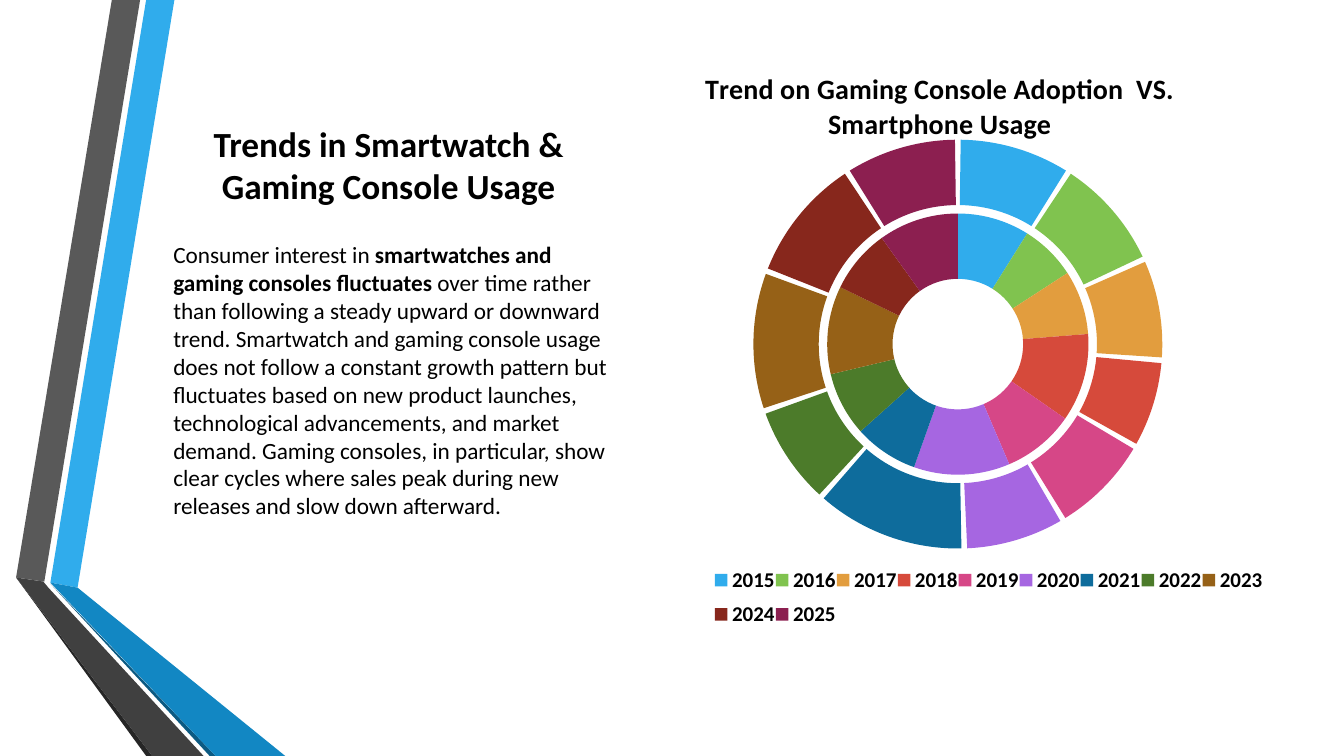
from dataclasses import dataclass

import lxml.etree
import pptx
import pptx.chart.data
import pptx.dml.color
import pptx.enum.chart
import pptx.enum.text
import pptx.oxml.ns
import pptx.util

Inches = pptx.util.Inches


@dataclass(frozen=True)
class Theme:
    font: str = "Calibri"
    ink: str = "000000"
    title: float = 25.2
    body: float = 16.6
    chart: float = 10
    chart_title: float = 20
    legend: float = 15
    bright_blue: str = "30ACEC"
    mid_blue: str = "1287C3"
    dark_blue: str = "0C5A82"
    light_gray: str = "595959"
    mid_gray: str = "404040"
    dark_gray: str = "262626"
    years: tuple[str, ...] = (
        "30ACEC", "80C34F", "E29D3E", "D64A3B", "D64787", "A666E1",
        "0E6C9C", "4C7B2A", "966117", "87271C", "8C1F50",
    )


@dataclass(frozen=True)
class Ribbon:
    color: str
    points: tuple[tuple[float, float], ...]


@dataclass(frozen=True)
class Span:
    text: str
    bold: bool = False


@dataclass(frozen=True)
class TextBlock:
    box: tuple[float, float, float, float]
    size: float
    anchor: pptx.enum.text.MSO_ANCHOR
    align: pptx.enum.text.PP_ALIGN
    space_after: float
    right_inset: float
    spans: tuple[Span, ...]


@dataclass(frozen=True)
class Ring:
    name: str
    values: tuple[int, ...]
    explosion: int = 0


THEME = Theme()

RIBBONS = (
    Ribbon(THEME.bright_blue, ((0.5, 5.78), (0.77, 5.83), (1.73, 0), (1.45, 0))),
    Ribbon(THEME.light_gray, ((1.39, 0), (1.11, 0), (0.16, 5.73), (0.44, 5.77))),
    Ribbon(THEME.dark_gray, ((0.16, 5.73), (1.45, 7.5), (1.51, 7.5))),
    Ribbon(THEME.dark_blue, ((0.5, 5.79), (2.08, 7.5), (2.14, 7.5))),
    Ribbon(THEME.mid_blue, ((0.5, 5.78), (2.14, 7.5), (2.83, 7.5), (0.77, 5.83))),
    Ribbon(THEME.mid_gray, ((2.02, 7.5), (0.48, 5.83), (0.43, 5.77), (0.16, 5.73), (1.51, 7.5))),
)

TEXTS = (
    TextBlock(
        (1.62, 1.13, 4.47, 0.97), THEME.title,
        pptx.enum.text.MSO_ANCHOR.BOTTOM, pptx.enum.text.PP_ALIGN.CENTER, 0, 0.1,
        (Span("Trends in Smartwatch & Gaming Console Usage", True),),
    ),
    TextBlock(
        (1.62, 2.29, 4.72, 2.96), THEME.body,
        pptx.enum.text.MSO_ANCHOR.MIDDLE, pptx.enum.text.PP_ALIGN.LEFT, 6, 0.22,
        (
            Span("Consumer interest in "),
            Span("smartwatches and gaming consoles fluctuates", True),
            Span(
                " over time rather than following a steady upward or downward trend. "
                "Smartwatch and gaming console usage does not follow a constant growth "
                "pattern but fluctuates based on new product launches, technological "
                "advancements, and market demand. Gaming consoles, in particular, show "
                "clear cycles where sales peak during new releases and slow down afterward."
            ),
        ),
    ),
)

RINGS = (
    Ring("Series 1", (9, 7, 8, 11, 9, 12, 8, 8, 11, 8, 10)),
    Ring("Series 2", (9, 9, 8, 7, 8, 8, 12, 8, 11, 10, 9), 13),
)


def rgb(color: str) -> pptx.dml.color.RGBColor:
    return pptx.dml.color.RGBColor.from_string(color)


def style_font(font, size: float, bold: bool = False) -> None:
    font.name = THEME.font
    font.size = pptx.util.Pt(size)
    font.bold = bold
    font.color.rgb = rgb(THEME.ink)


def draw_ribbon(s, ribbon: Ribbon) -> None:
    points = [(Inches(x), Inches(y)) for x, y in ribbon.points]
    builder = s.shapes.build_freeform(*points[0])
    builder.add_line_segments(points[1:], close=True)
    sp = builder.convert_to_shape()
    sp.shadow.inherit = False
    sp.fill.solid()
    sp.fill.fore_color.rgb = rgb(ribbon.color)
    sp.line.fill.background()


def draw_text(s, block: TextBlock) -> None:
    tf = s.shapes.add_textbox(*map(Inches, block.box)).text_frame
    tf.word_wrap = True
    tf.vertical_anchor = block.anchor
    tf.margin_right = Inches(block.right_inset)
    p = tf.paragraphs[0]
    p.alignment = block.align
    p.space_after = pptx.util.Pt(block.space_after)
    for span in block.spans:
        r = p.add_run()
        r.text = span.text
        style_font(r.font, block.size, span.bold)


def set_layout(parent, index: int, **settings: float | str) -> None:
    qn = pptx.oxml.ns.qn
    for old in parent.findall(qn("c:layout")):
        parent.remove(old)
    layout = lxml.etree.Element(qn("c:layout"))
    manual = lxml.etree.SubElement(layout, qn("c:manualLayout"))
    for name, value in settings.items():
        lxml.etree.SubElement(manual, qn(f"c:{name}")).set("val", str(value))
    parent.insert(index, layout)


def color_ring(series, ring: Ring) -> None:
    for i, color in enumerate(THEME.years):
        point = series.points[i].format
        point.fill.solid()
        point.fill.fore_color.rgb = rgb(color)
        point.line.fill.background()
    if ring.explosion:
        qn = pptx.oxml.ns.qn
        explosion = lxml.etree.Element(qn("c:explosion"))
        explosion.set("val", str(ring.explosion))
        series._element.find(qn("c:dPt")).addprevious(explosion)


def draw_chart(s) -> None:
    data = pptx.chart.data.CategoryChartData()
    data.categories = [str(year) for year in range(2015, 2026)]
    for ring in RINGS:
        data.add_series(ring.name, ring.values)
    chart = s.shapes.add_chart(
        pptx.enum.chart.XL_CHART_TYPE.DOUGHNUT,
        *map(Inches, (5.92, 0.46, 6.82, 5.91)), data,
    ).chart
    style_font(chart.font, THEME.chart)
    chart.plots[0].vary_by_categories = True
    for series, ring in zip(chart.plots[0].series, RINGS):
        color_ring(series, ring)

    chart.has_title = True
    r = chart.chart_title.text_frame.paragraphs[0].add_run()
    r.text = "Trend on Gaming Console Adoption  VS. Smartphone Usage"
    style_font(r.font, THEME.chart_title, True)

    chart.has_legend = True
    chart.legend.position = pptx.enum.chart.XL_LEGEND_POSITION.BOTTOM
    chart.legend.include_in_layout = False
    style_font(chart.legend.font, THEME.legend, True)

    edges = {"xMode": "edge", "yMode": "edge"}
    set_layout(chart.chart_title._element, 1, **edges, x=0.15, y=0.03)
    set_layout(chart.legend._element, 1, **edges, x=0.17, y=0.86, w=0.8, h=0.13)
    plot_area = chart._chartSpace.chart.plotArea
    set_layout(plot_area, 0, layoutTarget="inner", **edges, x=0.24, y=0.15, w=0.57, h=0.7)


def main() -> None:
    prs = pptx.Presentation()
    prs.slide_width, prs.slide_height = Inches(13.33), Inches(7.5)
    s = prs.slides.add_slide(prs.slide_layouts[6])
    for ribbon in RIBBONS:
        draw_ribbon(s, ribbon)
    for block in TEXTS:
        draw_text(s, block)
    draw_chart(s)
    prs.save("out.pptx")


if __name__ == "__main__":
    main()
